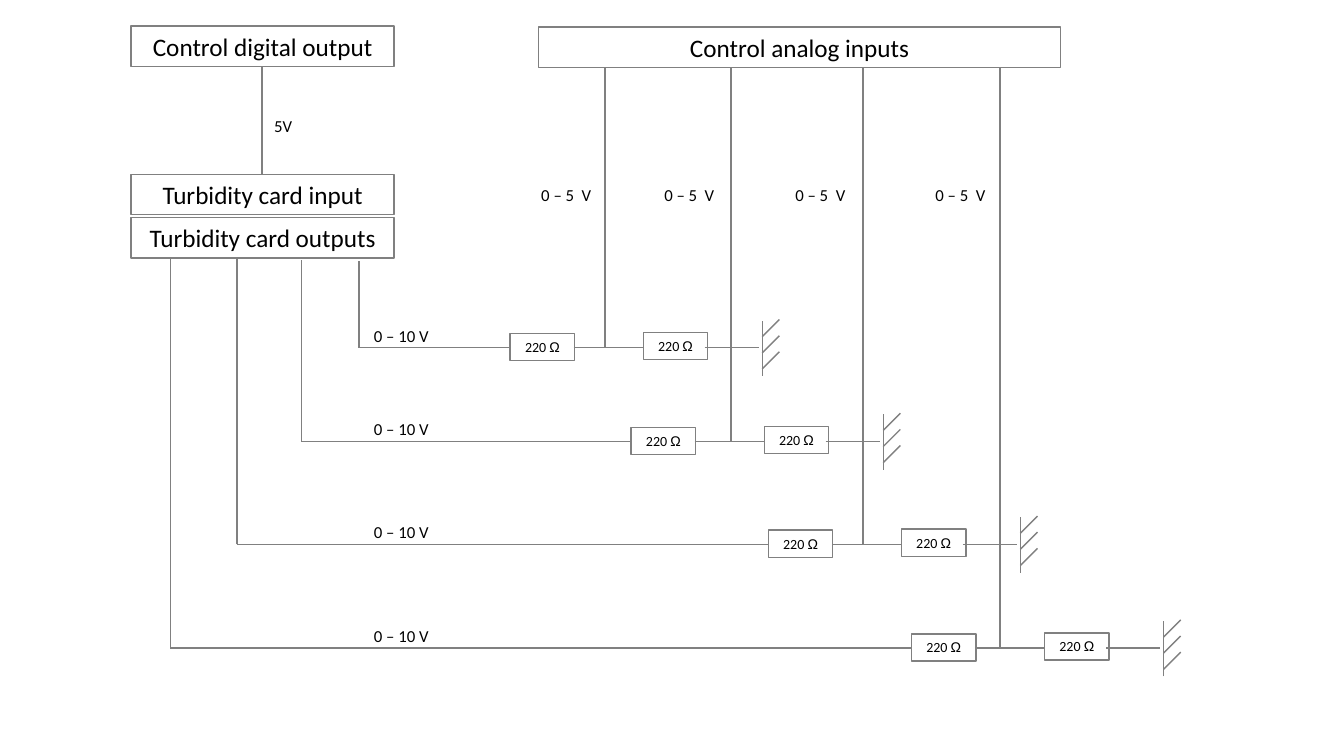
from pptx import Presentation
from pptx.dml.color import RGBColor
from pptx.enum.shapes import MSO_CONNECTOR, MSO_SHAPE
from pptx.enum.text import MSO_ANCHOR, PP_ALIGN
from pptx.util import Inches, Pt
from lxml import etree

DRAWING = "{http://schemas.openxmlformats.org/drawingml/2006/main}"
GRAY, BLACK = "808080", "000000"

deck = Presentation()
deck.slide_width, deck.slide_height = Inches(13.33), Inches(7.5)
page = deck.slides.add_slide(deck.slide_layouts[6])
color = RGBColor.from_string


def add_wire(x1, y1, x2, y2, parent=page):
    wire = parent.shapes.add_connector(
        MSO_CONNECTOR.STRAIGHT, Inches(x1), Inches(y1), Inches(x2), Inches(y2))
    wire.line.color.rgb = color(GRAY)
    wire.line.width = Pt(1)
    etree.SubElement(wire._element.spPr, DRAWING + "effectLst")


def add_text(x, y, width, height, words, size, framed=False):
    place = [Inches(value) for value in (x, y, width, height)]
    if framed:
        box = page.shapes.add_shape(MSO_SHAPE.RECTANGLE, *place)
        box.shadow.inherit = False
        box.fill.background()
        box.line.color.rgb = color(GRAY)
        box.line.width = Pt(1)
    else:
        box = page.shapes.add_textbox(*place)
    frame = box.text_frame
    frame.word_wrap = True
    frame.vertical_anchor = MSO_ANCHOR.TOP
    para = frame.paragraphs[0]
    para.alignment = PP_ALIGN.CENTER if framed else PP_ALIGN.LEFT
    para.font.name = "Calibri"
    para.font.size = Pt(size)
    para.font.color.rgb = color(BLACK)
    for part in words:
        span = para.add_run()
        span.text = part
        if part == "Ω":
            span.font.name = "Arial"


# Boards
boards = [
    (5.34, 0.27, 5.18, "Control analog inputs"),
    (1.3, 0.26, 2.61, "Control digital output"),
    (1.3, 1.73, 2.61, "Turbidity card input"),
    (1.3, 2.16, 2.61, "Turbidity card outputs"),
]
for x, y, width, name in boards:
    add_text(x, y, width, 0.4, [name], 18, framed=True)

# Supply from the digital output to the card
add_wire(2.6, 1.73, 2.6, 0.66)
add_text(2.62, 1.1, 0.84, 0.3, ["5V"], 12)

# Voltage dividers: row height, card output (x, top), first resistor,
# analog input, input label
dividers = [
    (3.45, 3.56, 2.59, 5.06, 6.0, 5.27),
    (4.38, 2.99, 2.58, 6.26, 7.25, 6.49),
    (5.4, 2.35, 2.56, 7.62, 8.56, 7.79),
    (6.43, 1.69, 2.56, 9.04, 9.92, 9.18),
]
for y, output, top, resistor, analog, label in dividers:
    # Wires along the row, then up to the card and the analog input
    add_wire(output, y, output, top)
    add_wire(output, y, resistor + 0.01, y)
    add_wire(resistor + 0.63, y, resistor + 1.32, y)
    add_wire(resistor + 1.93, y, resistor + 2.47, y)
    add_wire(analog, 0.67, analog, y)

    # Resistors
    for across, rise in ((0, 0.14), (1.32, 0.15)):
        add_text(resistor + across, y - rise, 0.64, 0.27,
                 ["220 ", "Ω"], 10, framed=True)

    # Ground symbol
    ground = page.shapes.add_group_shape()
    earth = resistor + 2.5
    add_wire(earth, y + 0.28, earth, y - 0.27, ground)
    for step in range(3):
        start = y - 0.11 + 0.16 * step
        add_wire(earth, start, earth + 0.17, start - 0.17, ground)

    # Voltage labels
    add_text(3.61, y - 0.27, 0.84, 0.3, ["0 – 10 V"], 12)
    add_text(label, 1.78, 0.84, 0.3, ["0 – 5  V"], 12)

deck.save("out.pptx")
